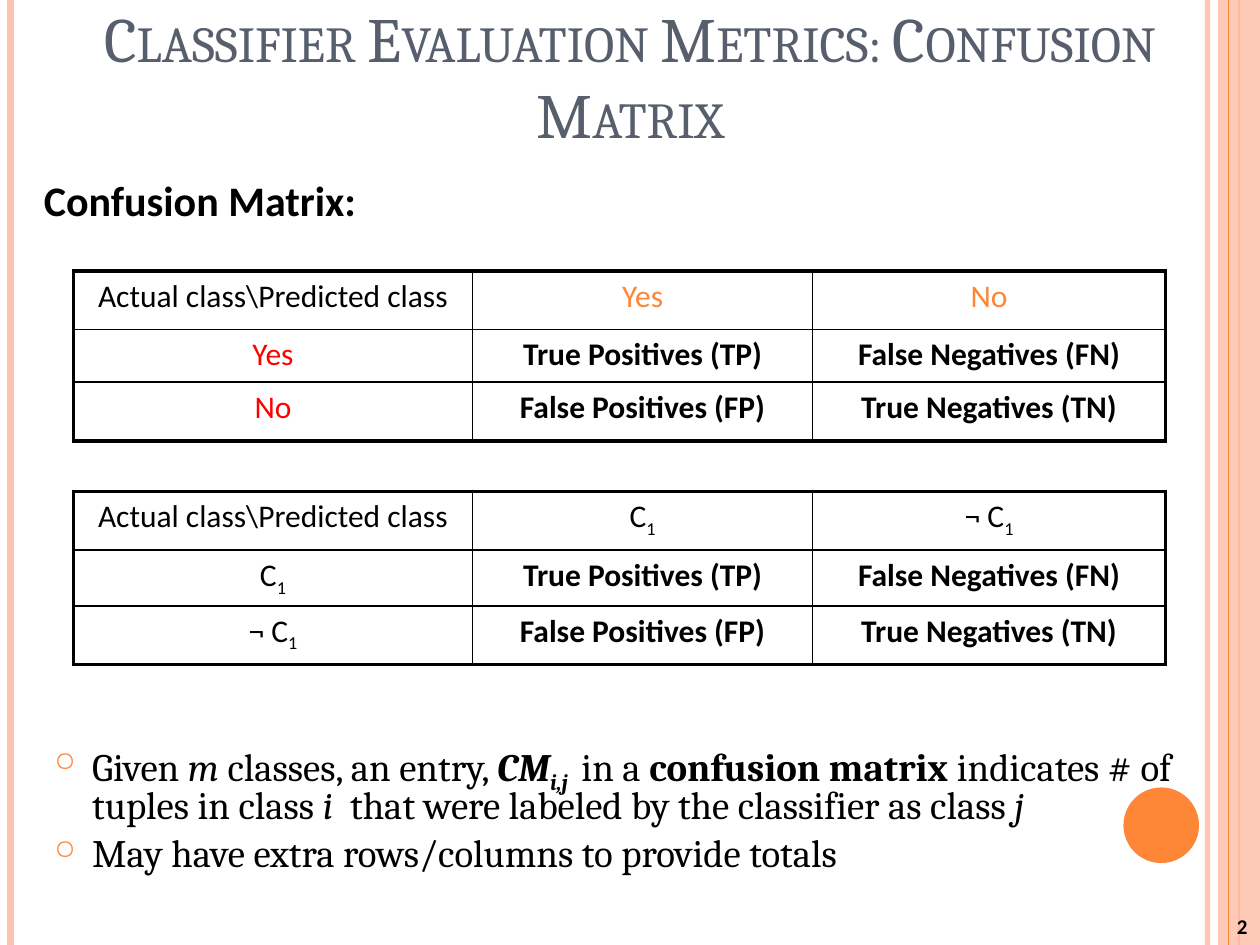
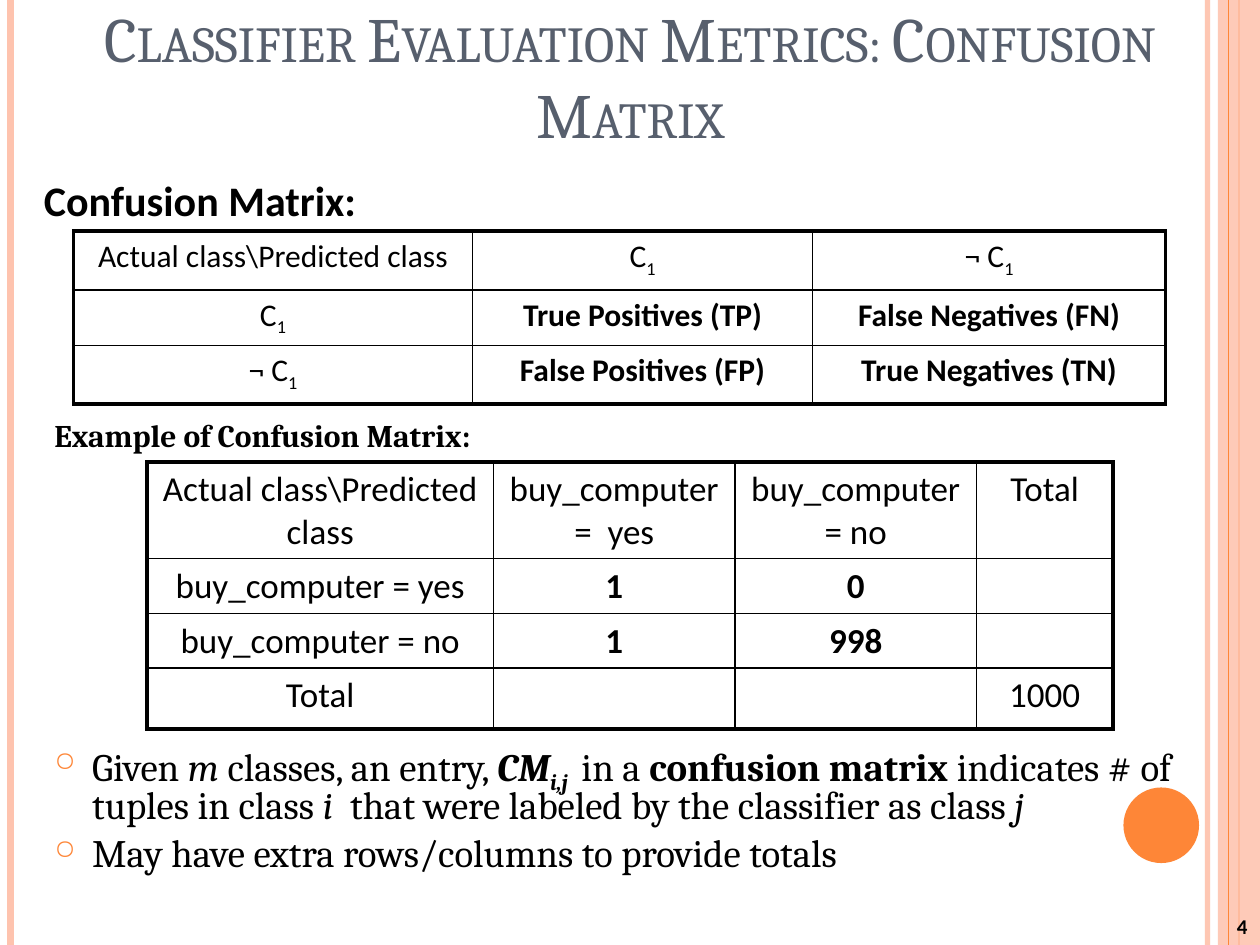
from dataclasses import dataclass

from lxml import etree
from pptx import Presentation
from pptx.dml.color import RGBColor
from pptx.enum.shapes import MSO_CONNECTOR, MSO_SHAPE
from pptx.enum.text import MSO_ANCHOR, MSO_AUTO_SIZE, PP_ALIGN
from pptx.oxml.ns import qn
from pptx.util import Pt

STRAIGHT = MSO_CONNECTOR.STRAIGHT
RECTANGLE, OVAL = MSO_SHAPE.RECTANGLE, MSO_SHAPE.OVAL
TOP, BOTTOM = MSO_ANCHOR.TOP, MSO_ANCHOR.BOTTOM
LEFT, CENTER, RIGHT = PP_ALIGN.LEFT, PP_ALIGN.CENTER, PP_ALIGN.RIGHT
NO_AUTOFIT = MSO_AUTO_SIZE.NONE
TITLE_ONLY = 5


@dataclass(frozen=True)
class Theme:
    ink: str = "000000"
    slate: str = "575F6D"
    orange: str = "FE8637"
    peach: str = "FEC3AE"
    red: str = "FF0000"
    heading_font: str = "Cambria"
    label_font: str = "Calibri"
    title_size: float = 36
    heading_size: float = 24
    body_size: float = 22.2
    example_size: float = 20
    table_size: float = 18
    number_size: float = 12
    outer_border: float = 2.25
    inner_border: float = 1


@dataclass(frozen=True)
class Box:
    left: float
    top: float
    width: float
    height: float

    def lengths(self):
        return Pt(self.left), Pt(self.top), Pt(self.width), Pt(self.height)


THEME = Theme()
PAGE = Box(0, 0, 720, 540)
TITLE_BOX = Box(0, 0, 720, 90)
HEADING_BOX = Box(18, 96, 205, 36)
EXAMPLE_HEADING_BOX = Box(24, 234, 281, 29)
NOTES_BOX = Box(24, 423.5, 666, 99)
NUMBER_BOX = Box(570, 510, 150, 30)

TITLE = "Classifier Evaluation Metrics: Confusion Matrix"
CORNER = "Actual class\\Predicted class"
CLASS_ONE = [("C", ""), ("1", "s")]
NOT_CLASS_ONE = [("¬ C", ""), ("1", "s")]
OUTCOMES = [["True Positives (TP)", "False Negatives (FN)"],
            ["False Positives (FP)", "True Negatives (TN)"]]
BUY_COMPUTER = [
    [CORNER, "buy_computer =  yes", "buy_computer = no", "Total"],
    ["buy_computer = yes", "1", "0", ""],
    ["buy_computer = no", "1", "998", ""],
    ["Total", "", "", "1000"],
]
NOTES = [
    [("Given", ""), (" m", "i"), (" classes, an entry, ", ""), ("CM", "bi"),
     ("i,j ", "bis"), (" in a ", ""), ("confusion matrix", "b"),
     (" indicates # of tuples in class ", ""), ("i", "i"),
     ("  that were labeled by the classifier as class ", ""), ("j", "i")],
    [("May have extra rows/columns to provide totals", "")],
]


def rgb(color):
    return RGBColor.from_string(color)


def set_alpha(shape, percent):
    for color in shape._element.spPr.iter(qn("a:srgbClr")):
        etree.SubElement(color, qn("a:alpha"), val=str(percent * 1000))


def write_runs(paragraph, pieces, font_name, size, color=THEME.ink, bold=False):
    for text, style in pieces:
        run = paragraph.add_run()
        run.text = text
        font = run.font
        font.name, font.size = font_name, Pt(size)
        font.color.rgb = rgb(color)
        font.bold = bold or "b" in style
        font.italic = "i" in style
        if "s" in style:
            run._r.get_or_add_rPr().set("baseline", "-25000")


def add_text(slide, box, font_name, size, text, alignment=LEFT, anchor=TOP):
    text_frame = slide.shapes.add_textbox(*box.lengths()).text_frame
    text_frame.word_wrap = True
    text_frame.vertical_anchor = anchor
    paragraph = text_frame.paragraphs[0]
    paragraph.alignment = alignment
    write_runs(paragraph, [(text, "b")], font_name, size)


def add_rule(slide, box, offset, color, width, alpha=None):
    x = Pt(box.left + offset)
    rule = slide.shapes.add_connector(
        STRAIGHT, x, Pt(box.top), x, Pt(box.top + box.height))
    rule.line.color.rgb = rgb(color)
    rule.line.width = Pt(width)
    if alpha:
        set_alpha(rule, alpha)
    etree.SubElement(rule._element.spPr, qn("a:effectLst"))


def add_solid(slide, box, kind, color):
    shape = slide.shapes.add_shape(kind, *box.lengths())
    shape.shadow.inherit = False
    shape.fill.solid()
    shape.fill.fore_color.rgb = rgb(color)
    shape.line.fill.background()
    return shape


def add_bands(slide, box):
    right = box.left + box.width
    add_rule(slide, box, 690, THEME.peach, 3, alpha=93)
    add_rule(slide, box, 6, THEME.peach, 4.5)
    add_rule(slide, box, 708, THEME.orange, 1.5)
    band = add_solid(slide, Box(right - 24, box.top, 24, box.height),
                     RECTANGLE, THEME.peach)
    set_alpha(band, 87)
    add_rule(slide, box, 702, THEME.orange, 0.75)
    add_solid(slide, Box(right - 78, box.top + 450, 43.2, 43.2),
              OVAL, THEME.orange)


def set_title(slide, box):
    title = slide.shapes.title
    title.left, title.top, title.width, title.height = box.lengths()
    text_frame = title.text_frame
    text_frame.text = TITLE
    text_frame.word_wrap = True
    text_frame.auto_size = NO_AUTOFIT
    text_frame.vertical_anchor = BOTTOM
    paragraph = text_frame.paragraphs[0]
    paragraph.alignment = CENTER
    run = paragraph.runs[0]
    run.font.name, run.font.size = THEME.heading_font, Pt(THEME.title_size)
    run.font.color.rgb = rgb(THEME.slate)
    run._r.get_or_add_rPr().set("cap", "small")


def add_notes(slide, box):
    text_frame = slide.shapes.add_textbox(*box.lengths()).text_frame
    text_frame.word_wrap = True
    for index, pieces in enumerate(NOTES):
        paragraph = text_frame.add_paragraph() if index else text_frame.paragraphs[0]
        properties = paragraph._p.get_or_add_pPr()
        properties.set("marL", str(Pt(21.6)))
        properties.set("indent", str(Pt(-21.6)))
        bullet_color = etree.SubElement(properties, qn("a:buClr"))
        etree.SubElement(bullet_color, qn("a:srgbClr"), val=THEME.orange)
        etree.SubElement(properties, qn("a:buSzPct"), val="70000")
        etree.SubElement(properties, qn("a:buChar"), char="○")
        paragraph.line_spacing = 0.8
        if index:
            paragraph.space_before = Pt(6)
        write_runs(paragraph, pieces, THEME.heading_font, THEME.body_size)


def set_borders(cell, outer_sides):
    properties = cell._tc.get_or_add_tcPr()
    for side in "LRTB":
        width = THEME.outer_border if side in outer_sides else THEME.inner_border
        line = etree.SubElement(properties, qn(f"a:ln{side}"), w=str(Pt(width)))
        fill = etree.SubElement(line, qn("a:solidFill"))
        etree.SubElement(fill, qn("a:srgbClr"), val=THEME.ink)


def add_matrix(slide, box, rows, column_shares, row_shares, size,
               header_color=THEME.ink, label_color=THEME.ink):
    last_row, last_column = len(rows) - 1, len(rows[0]) - 1
    table = slide.shapes.add_table(
        last_row + 1, last_column + 1, *box.lengths()).table
    table.first_row = table.horz_banding = False
    for column, share in zip(table.columns, column_shares):
        column.width = Pt(box.width * share / sum(column_shares))
    for row, share in zip(table.rows, row_shares):
        row.height = Pt(box.height * share / sum(row_shares))
    for i, values in enumerate(rows):
        for j, value in enumerate(values):
            cell = table.cell(i, j)
            edges = zip("LRTB", (j == 0, j == last_column, i == 0, i == last_row))
            set_borders(cell, [side for side, outer in edges if outer])
            cell.fill.background()
            color = THEME.ink
            if i == 0 and j > 0:
                color = header_color
            elif j == 0 and i > 0:
                color = label_color
            paragraph = cell.text_frame.paragraphs[0]
            paragraph.alignment = CENTER
            if value:
                pieces = [(value, "")] if isinstance(value, str) else value
                write_runs(paragraph, pieces, THEME.label_font, size, color,
                           bold=i in (1, 2) and j in (1, 2))


def add_outcome_matrix(slide, top, positive, negative, **colors):
    rows = [[CORNER, positive, negative],
            [positive, *OUTCOMES[0]],
            [negative, *OUTCOMES[1]]]
    add_matrix(slide, Box(42, top, 624, 97.2), rows, (228, 194.4, 201.6),
               (33.6, 30, 33.6), THEME.table_size, **colors)


def add_example_matrix(slide, box):
    add_matrix(slide, box, BUY_COMPUTER, (198, 138, 138, 78),
               (55.2, 31.2, 31.2, 34.8), THEME.example_size)


def add_metrics_slide(presentation, number):
    slide = presentation.slides.add_slide(presentation.slide_layouts[TITLE_ONLY])
    add_bands(slide, PAGE)
    set_title(slide, TITLE_BOX)
    add_text(slide, HEADING_BOX, THEME.label_font, THEME.heading_size,
             "Confusion Matrix:")
    add_notes(slide, NOTES_BOX)
    add_text(slide, NUMBER_BOX, THEME.label_font, THEME.number_size,
             str(number), RIGHT, BOTTOM)
    return slide


def add_definition_slide(presentation):
    slide = add_metrics_slide(presentation, 2)
    add_outcome_matrix(slide, 154.8, "Yes", "No",
                       header_color=THEME.orange, label_color=THEME.red)
    add_outcome_matrix(slide, 280.8, CLASS_ONE, NOT_CLASS_ONE)


def add_example_slide(presentation):
    slide = add_metrics_slide(presentation, 4)
    add_outcome_matrix(slide, 132, CLASS_ONE, NOT_CLASS_ONE)
    add_text(slide, EXAMPLE_HEADING_BOX, THEME.heading_font, THEME.table_size,
             "Example of Confusion Matrix:")
    add_example_matrix(slide, Box(84, 264, 552, 152.4))


def main():
    presentation = Presentation()
    presentation.slide_width, presentation.slide_height = Pt(PAGE.width), Pt(PAGE.height)
    add_definition_slide(presentation)
    add_example_slide(presentation)
    presentation.save("out.pptx")


if __name__ == "__main__":
    main()
